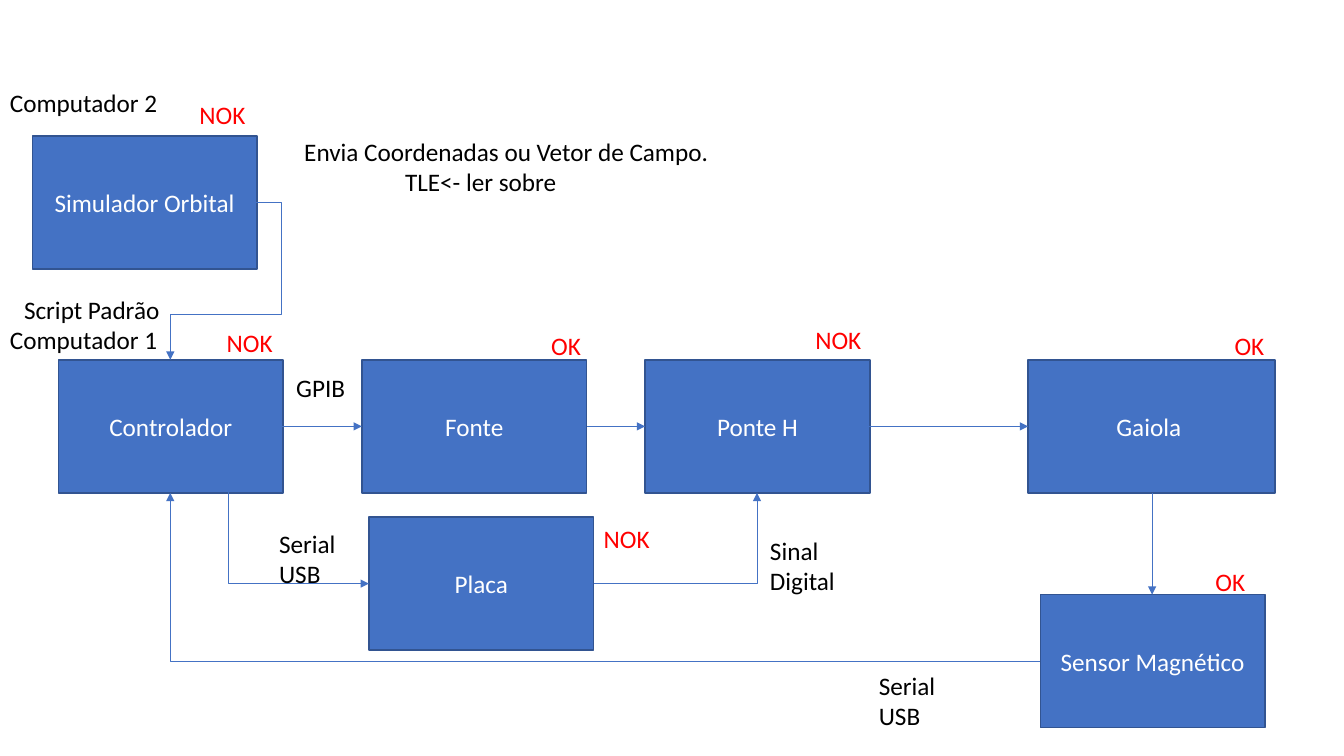
from pptx import Presentation
from pptx.dml.color import RGBColor
from pptx.enum.shapes import MSO_CONNECTOR, MSO_SHAPE
from pptx.enum.text import MSO_ANCHOR, MSO_AUTO_SIZE, PP_ALIGN
from pptx.oxml.ns import qn
from pptx.util import Pt
from lxml import etree

RECT = MSO_SHAPE.RECTANGLE
STRAIGHT, ELBOW = MSO_CONNECTOR.STRAIGHT, MSO_CONNECTOR.ELBOW
MIDDLE, TOP = MSO_ANCHOR.MIDDLE, MSO_ANCHOR.TOP
CENTER, LEFT = PP_ALIGN.CENTER, PP_ALIGN.LEFT
GROW = MSO_AUTO_SIZE.SHAPE_TO_FIT_TEXT

PX = 9144
BLUE, EDGE = "4472C4", "325491"
WHITE, BLACK, RED = "FFFFFF", "000000", "FF0000"
BOX_W, BOX_H = 223, 132
ROW_Y = 357


def rgb(value):
    return RGBColor.from_string(value)


def write(sp, text, color=BLACK, align=LEFT, anchor=TOP, wrap=True):
    tf = sp.text_frame
    tf.word_wrap = wrap
    tf.vertical_anchor = anchor
    for i, line in enumerate(text.split("\n")):
        p = tf.add_paragraph() if i else tf.paragraphs[0]
        p.alignment = align
        if line.startswith("\t"):
            tabs = etree.SubElement(p._p.get_or_add_pPr(), qn("a:tabLst"))
            etree.SubElement(tabs, qn("a:tab"), pos=str(100 * PX), algn="l")
        r = p.add_run()
        r.text = line
        r.font.name = "Calibri"
        r.font.size = Pt(18)
        r.font.color.rgb = rgb(color)


prs = Presentation()
prs.slide_width, prs.slide_height = 12192000, 750 * PX
slide = prs.slides.add_slide(prs.slide_layouts[6])
shapes = slide.shapes

boxes = [
    ("Simulador Orbital", 32, 135, BOX_W),
    ("Controlador", 58, ROW_Y, BOX_W),
    ("Fonte", 359, ROW_Y, BOX_W),
    ("Ponte H", 640, ROW_Y, BOX_W),
    ("Gaiola ", 1020, ROW_Y, 245),
    ("Placa", 366, 513, BOX_W),
    ("Sensor Magnético", 1032, 590, BOX_W),
]
for text, x, y, w in boxes:
    sp = shapes.add_shape(RECT, x * PX, y * PX, w * PX, BOX_H * PX)
    sp.shadow.inherit = False
    sp.fill.solid()
    sp.fill.fore_color.rgb = rgb(BLUE)
    sp.line.color.rgb = rgb(EDGE)
    sp.line.width = Pt(1)
    write(sp, text, color=WHITE, align=CENTER, anchor=MIDDLE)

arrows = [
    ("line", 280, 423, 359, 423, []),
    ("line", 582, 423, 640, 423, []),
    ("line", 862, 423, 1020, 423, []),
    ("line", 1143, 489, 1143, 590, []),
    ("bentConnector4", 254, 201, 169, 357, [-29300, 71100]),
    ("bentConnector3", 280, 423, 366, 579, [-62600]),
    ("bentConnector2", 589, 579, 751, 489, []),
    ("bentConnector2", 1032, 656, 169, 489, []),
]
for preset, x1, y1, x2, y2, bends in arrows:
    kind = STRAIGHT if preset == "line" else ELBOW
    cx = shapes.add_connector(kind, x1 * PX, y1 * PX, x2 * PX, y2 * PX)
    cx.line.color.rgb = rgb(BLUE)
    cx.line.width = Pt(0.5)
    etree.SubElement(cx.line._get_or_add_ln(), qn("a:tailEnd"), type="triangle")
    spPr = cx._element.spPr
    etree.SubElement(spPr, qn("a:effectLst"))
    geom = spPr.find(qn("a:prstGeom"))
    geom.set("prst", preset)
    for i, bend in enumerate(bends, 1):
        etree.SubElement(geom.find(qn("a:avLst")), qn("a:gd"),
                         name=f"adj{i}", fmla=f"val {bend}")

labels = [
    ("Envia Coordenadas ou Vetor de Campo.\n\tTLE<- ler sobre", 292, 130, 426, 71, False),
    ("Computador 2", 0, 82, 168, 40, False),
    ("Computador 1", 0, 317, 168, 40, False),
    ("Script Padrão", 14, 287, 157, 40, False),
    ("GPIB", 284, 364, 92, 40, True),
    ("Serial USB", 267, 519, 92, 71, True),
    ("Serial USB", 862, 660, 92, 71, True),
    ("Sinal Digital", 754, 526, 92, 71, True),
]
statuses = [
    ("NOK", 188, 94), ("NOK", 215, 320), ("OK", 537, 323), ("NOK", 799, 317),
    ("OK", 1215, 323), ("NOK", 589, 514), ("OK", 1196, 557),
]
status_w = {"OK": 50, "NOK": 66}
labels += [(text, x, y, status_w[text], 40, False) for text, x, y in statuses]
for text, x, y, w, h, wrap in labels:
    sp = shapes.add_textbox(x * PX, y * PX, w * PX, h * PX)
    write(sp, text, color=RED if text in status_w else BLACK, wrap=wrap)
    sp.text_frame.auto_size = GROW

prs.save("out.pptx")
